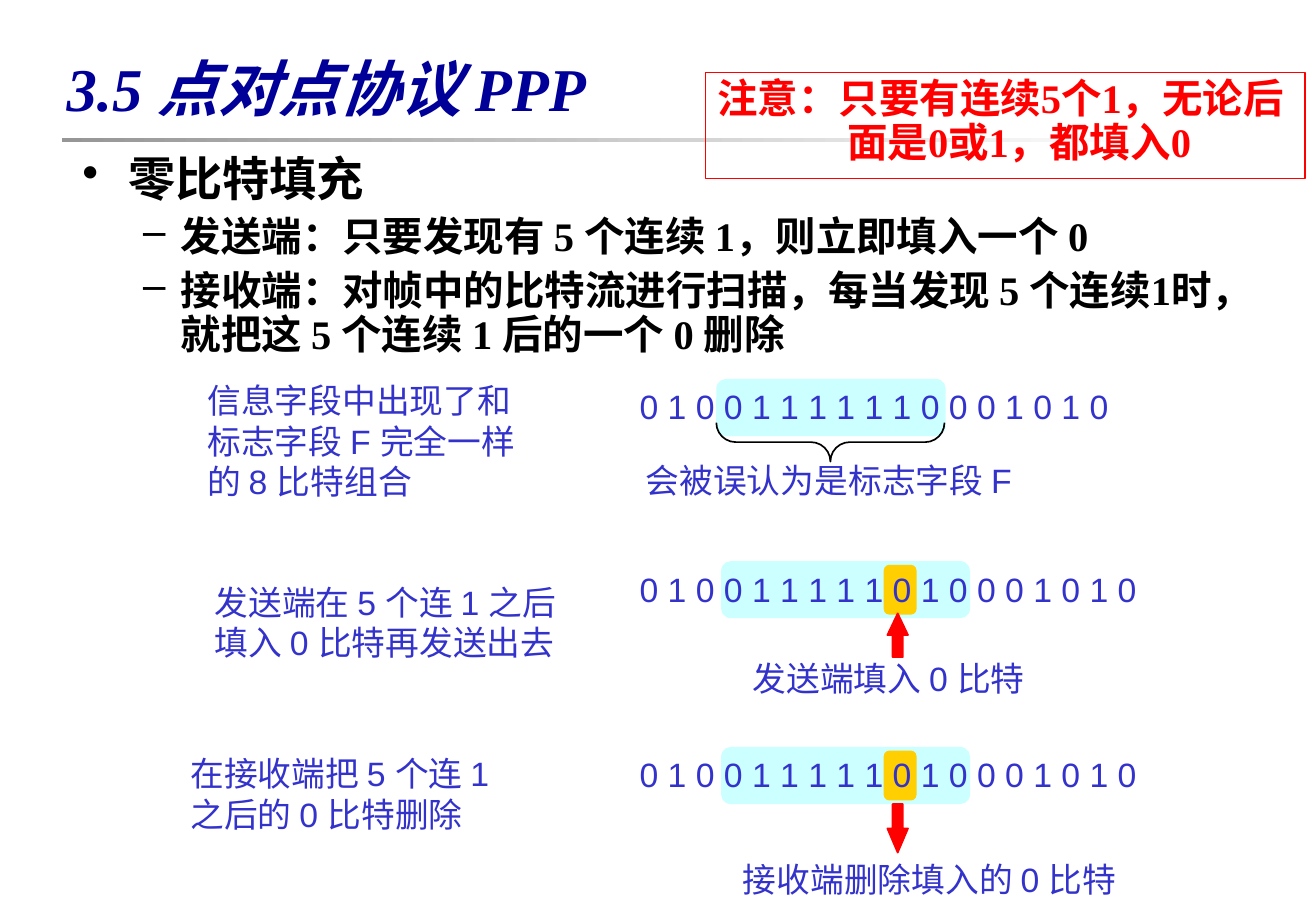
import dataclasses

import lxml.etree
import pptx
import pptx.dml.color
import pptx.enum.shapes
import pptx.enum.text
import pptx.oxml.ns
import pptx.util

Inches = pptx.util.Inches
Pt = pptx.util.Pt
Color = pptx.dml.color.RGBColor.from_string
Shape = pptx.enum.shapes.MSO_SHAPE
Anchor = pptx.enum.text.MSO_ANCHOR
qn = pptx.oxml.ns.qn


@dataclasses.dataclass(frozen=True)
class Theme:
    """Colours and type settings of the slide."""
    rule_start: str = "969696"
    rule_end: str = "FFFFFF"
    flag: str = "CCFFFF"
    stuffed: str = "FFCF01"
    alert: str = "FF0000"
    ink: str = "000000"
    title: tuple = ("Times New Roman", 36, "000099", True, True)
    topic: tuple = ("Times New Roman", 28, "000000", True, False)
    rule: tuple = ("Times New Roman", 24, "000000", True, False)
    notice: tuple = ("Times New Roman", 24, "FF0000", True, False)
    diagram: tuple = ("Arial", 20, "3333CC", False, False)


THEME = Theme()

STEPS = [
    {"top": 3.12, "flag": (0.73, 1.89), "bits": "0 1 0 0 1 1 1 1 1 1 0 0 0 1 0 1 0",
     "bits_width": 4.07, "lines": ["信息字段中出现了和", "标志字段 F 完全一样", "的 8 比特组合"],
     "lines_box": (-3.56, -0.04, 2.94, 1.1), "wrap": False,
     "caption": "会被误认为是标志字段 F", "caption_box": (0.05, 0.62, 3.45, 0.43),
     "pointer": (Shape.RIGHT_BRACE, (1.51, -0.42, 0.32, 1.88), (0.5, 0.5)), "stuffed": False},
    {"top": 4.62, "flag": (0.77, 2.05), "bits": "0 1 0 0 1 1 1 1 1 0 1 0 0 0 1 0 1 0",
     "bits_width": 4.3, "lines": ["发送端在 5 个连 1 之后", "填入 0 比特再发送出去"],
     "lines_box": (-3.5, 0.12, 3.19, 1.43), "wrap": True,
     "caption": "发送端填入 0 比特", "caption_box": (0.93, 0.75, 2.65, 0.43),
     "pointer": (Shape.UP_ARROW, (2.14, 0.43, 0.17, 0.36), (0.5, 1.05)), "stuffed": True},
    {"top": 6.15, "flag": (0.77, 2.05), "bits": "0 1 0 0 1 1 1 1 1 0 1 0 0 0 1 0 1 0",
     "bits_width": 4.3, "lines": ["在接收端把 5 个连 1", "之后的 0 比特删除"],
     "lines_box": (-3.7, 0, 3.01, 0.76), "wrap": False,
     "caption": "接收端删除填入的 0 比特", "caption_box": (0.85, 0.87, 3.49, 0.43),
     "pointer": (Shape.DOWN_ARROW, (2.14, 0.47, 0.17, 0.4), (0.5, 1.17)), "stuffed": True},
]


def apply(target, values):
    """Set every named attribute on the target."""
    for name, value in values.items():
        setattr(target, name, value)


def add_mark(slide, kind, box, fill=None, line=None, width=1, adjustments=()):
    """Add a preset shape with the given fill and outline."""
    mark = slide.shapes.add_shape(kind, *map(Inches, box))
    mark.shadow.inherit = False
    for index, value in enumerate(adjustments):
        mark.adjustments[index] = value
    if fill:
        mark.fill.solid()
        mark.fill.fore_color.rgb = Color(fill)
    else:
        mark.fill.background()
    if line:
        mark.line.color.rgb = Color(line)
        mark.line.width = Pt(width)
    else:
        mark.line.fill.background()
    return mark


def write(paragraph, text, style, values=None):
    """Write one left-aligned run in the given style."""
    name, size, color, bold, italic = style
    apply(paragraph, {"alignment": pptx.enum.text.PP_ALIGN.LEFT, **(values or {})})
    run = paragraph.add_run()
    run.text = text
    apply(run.font, {"name": name, "size": Pt(size), "bold": bold, "italic": italic})
    run.font.color.rgb = Color(color)


def hang(paragraph, margin, indent, bullet=None):
    """Give a paragraph a hanging indent and an optional bullet."""
    properties = paragraph._p.get_or_add_pPr()
    properties.set("marL", str(Inches(margin)))
    properties.set("indent", str(-Inches(indent)))
    if bullet:
        tint = lxml.etree.SubElement(properties, qn("a:buClr"))
        lxml.etree.SubElement(tint, qn("a:srgbClr")).set("val", THEME.ink)
        lxml.etree.SubElement(properties, qn("a:buChar")).set("char", bullet)


def add_lines(slide, box, lines, style, wrap=False, anchor=Anchor.TOP):
    """Add a text box with one paragraph per line."""
    frame = slide.shapes.add_textbox(*map(Inches, box)).text_frame
    apply(frame, {"word_wrap": wrap, "vertical_anchor": anchor})
    for index, line in enumerate(lines):
        write(frame.add_paragraph() if index else frame.paragraphs[0], line, style)


def add_heading(slide, left, top):
    """Place the section title and the fading rule below it."""
    underline = add_mark(slide, Shape.RECTANGLE, (left + 0.06, top + 0.86, 9, 0.03))
    underline.fill.gradient()
    underline.fill.gradient_angle = 0
    for stop, color in zip(underline.fill.gradient_stops, (THEME.rule_start, THEME.rule_end)):
        stop.color.rgb = Color(color)
    add_lines(slide, (left, top, 9.84, 0.87), ["3.5 点对点协议 PPP"], THEME.title, True, Anchor.MIDDLE)


def add_rules(slide, box):
    """Place the topic and its two rules for sender and receiver."""
    frame = slide.shapes.add_textbox(*map(Inches, box)).text_frame
    frame.word_wrap = True
    topic = frame.paragraphs[0]
    hang(topic, 0.38, 0.38, "•")
    write(topic, "零比特填充", THEME.topic, {"line_spacing": 0.9})
    for text in ("发送端：只要发现有 5 个连续 1，则立即填入一个 0",
                 "接收端：对帧中的比特流进行扫描，每当发现 5 个连续1时，就把这 5 个连续 1 后的一个 0 删除"):
        rule = frame.add_paragraph()
        hang(rule, 0.81, 0.31, "–")
        write(rule, text, THEME.rule, {"level": 1, "line_spacing": 0.9, "space_before": Pt(6)})


def add_step(slide, left, step):
    """Place one bit stream with its flag, pointer, caption and explanation."""
    top = step["top"]

    def place(box):
        """Shift a box to the start of this step."""
        return (left + box[0], top + box[1], *box[2:])

    flag_left, flag_width = step["flag"]
    add_mark(slide, Shape.ROUNDED_RECTANGLE, place((flag_left, 0, flag_width, 0.47)),
             THEME.flag, adjustments=(0.17,))
    if step["stuffed"]:
        add_mark(slide, Shape.ROUNDED_RECTANGLE, place((2.11, 0.03, 0.27, 0.41)),
                 THEME.stuffed, adjustments=(0.17,))
    add_lines(slide, place((0, 0.01, step["bits_width"], 0.43)), [step["bits"]], THEME.diagram)
    add_lines(slide, place(step["lines_box"]), step["lines"], THEME.diagram, step["wrap"])
    kind, box, adjustments = step["pointer"]
    if step["stuffed"]:
        add_mark(slide, kind, place(box), THEME.alert, THEME.alert, 1, adjustments)
    else:
        add_mark(slide, kind, place(box), None, THEME.ink, 1, adjustments).rotation = 90
    add_lines(slide, place(step["caption_box"]), [step["caption"]], THEME.diagram)


def add_notice(slide, box):
    """Place the outlined reminder at the upper right."""
    notice = add_mark(slide, Shape.RECTANGLE, box, line=THEME.alert, width=0.75)
    frame = notice.text_frame
    apply(frame, {"word_wrap": True, "vertical_anchor": Anchor.TOP})
    hang(frame.paragraphs[0], 1.07, 1.07)
    write(frame.paragraphs[0], "注意：只要有连续5个1，无论后面是0或1，都填入0", THEME.notice,
          {"line_spacing": 0.9})


def main():
    """Build the slide and save it."""
    deck = pptx.Presentation()
    apply(deck, {"slide_width": Inches(10.84), "slide_height": Inches(7.5)})
    slide = deck.slides.add_slide(deck.slide_layouts[6])
    add_heading(slide, 0.45, 0.28)
    add_rules(slide, (0.58, 1.23, 10.03, 1.89))
    for step in STEPS:
        add_step(slide, 5.17, step)
    add_notice(slide, (5.81, 0.6, 4.94, 0.87))
    deck.save("out.pptx")


if __name__ == "__main__":
    main()
